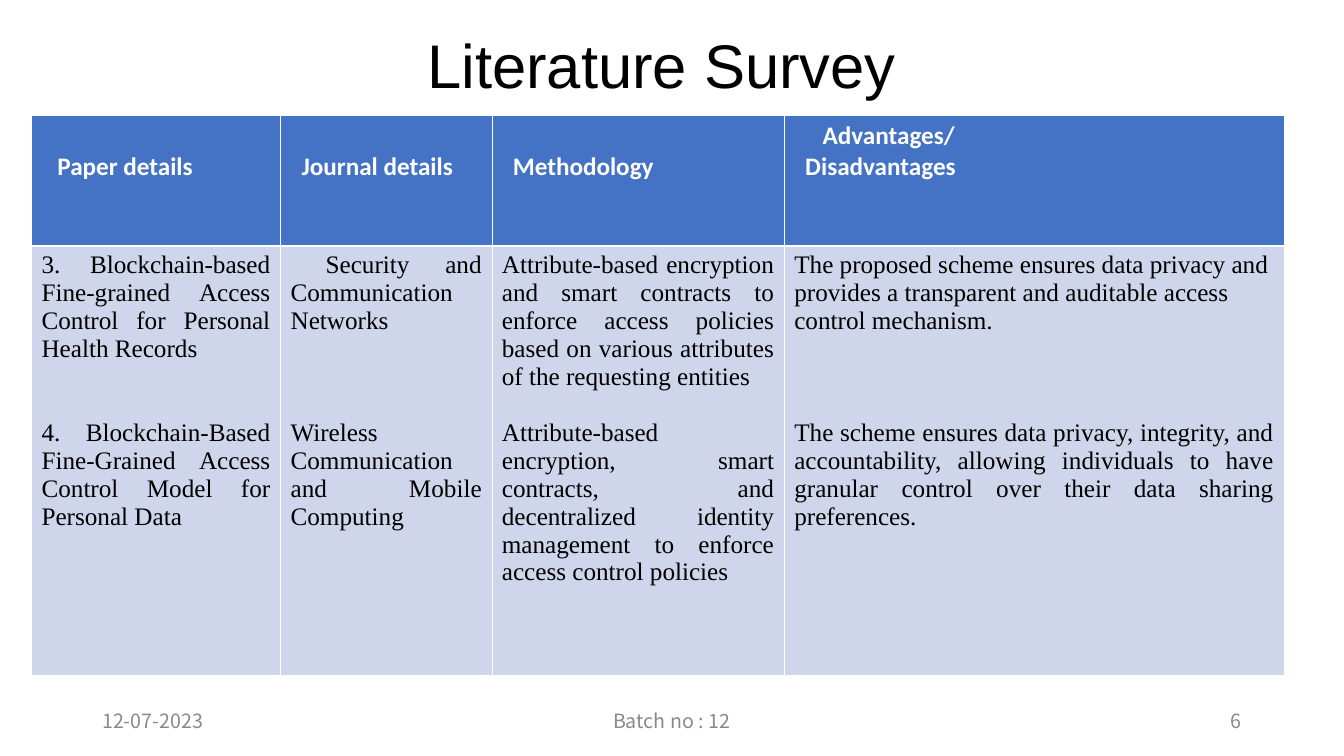
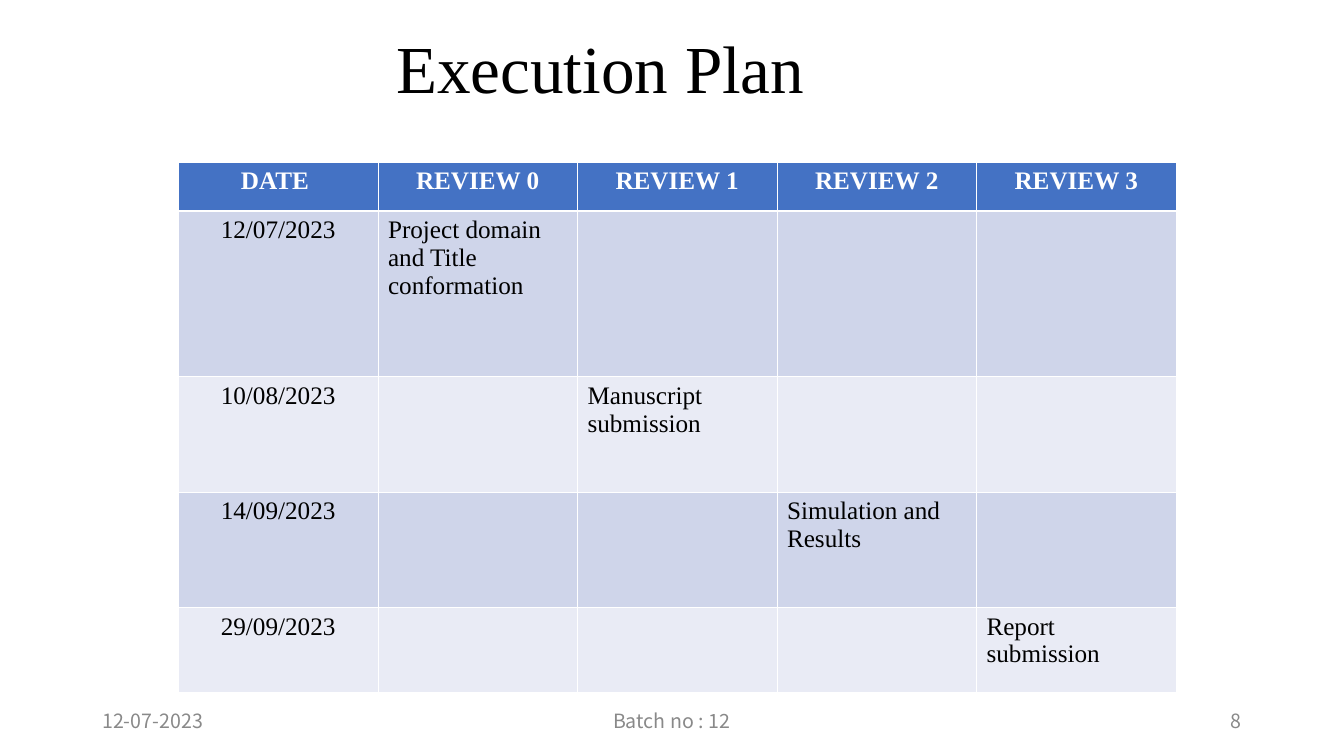
from lxml import etree
from pptx import Presentation
from pptx.dml.color import RGBColor
from pptx.enum import text
from pptx.oxml import ns
from pptx.util import Pt

BLACK = RGBColor(0x00, 0x00, 0x00)
WHITE = RGBColor(0xFF, 0xFF, 0xFF)
GREY = RGBColor(0x89, 0x89, 0x89)
HEADER_BLUE = RGBColor(0x44, 0x72, 0xC4)
BANDS = (RGBColor(0xE9, 0xEB, 0xF5), RGBColor(0xCF, 0xD5, 0xEA))
SERIF = "Times New Roman"
SANS = "Calibri"
LEFT, CENTER, RIGHT, JUSTIFY = (
    text.PP_ALIGN.LEFT, text.PP_ALIGN.CENTER, text.PP_ALIGN.RIGHT, text.PP_ALIGN.JUSTIFY)
THIN, THICK = 0.45, 1.47
LINE = 20  # height of one line of table text


def write(para, words, face=SERIF, size=18, color=BLACK, bold=False, align=LEFT, indent=0):
    """Fill a paragraph; indent applies to its first line."""
    para.text = words
    para.alignment = align
    if indent:
        para._p.get_or_add_pPr().set("indent", str(Pt(indent)))
    para.font.name = face
    para.font.size = Pt(size)
    para.font.color.rgb = color
    para.font.bold = bold


def add_banded_table(page, left, top, widths, heights):
    """Add a table with a blue header, banded rows and white borders."""
    frame = page.shapes.add_table(len(heights), len(widths), Pt(left), Pt(top),
                                  Pt(sum(widths)), Pt(sum(heights)))
    table = frame.table
    for column, width in zip(table.columns, widths):
        column.width = Pt(width)
    for number, height in enumerate(heights):
        row = table.rows[number]
        row.height = Pt(height)
        borders = {"lnL": THIN, "lnR": THIN,
                   "lnT": THICK if number == 1 else THIN,
                   "lnB": THICK if number == 0 else THIN}
        for cell in row.cells:
            props = cell._tc.get_or_add_tcPr()
            for side, weight in borders.items():
                line = etree.SubElement(props, ns.qn(f"a:{side}"), w=str(Pt(weight)))
                fill = etree.SubElement(line, ns.qn("a:solidFill"))
                etree.SubElement(fill, ns.qn("a:srgbClr"), val=str(WHITE))
            cell.fill.solid()
            cell.fill.fore_color.rgb = BANDS[number % 2] if number else HEADER_BLUE
    return table


deck = Presentation()
deck.slide_width, deck.slide_height = Pt(960.48), Pt(540)

# Titles and footers
pages = []
for heading, face, size, align, inset, number in (
        ("Literature Survey", "Arial", 44, CENTER, 7.2, "6"),
        ("Execution Plan", SERIF, 48, LEFT, 247.2, "8")):
    page = deck.slides.add_slide(deck.slide_layouts[5])
    pages.append(page)
    title = page.shapes.title
    title.left, title.top, title.width, title.height = Pt(36), Pt(21.6), Pt(874), Pt(65.5)
    frame = title.text_frame
    frame.auto_size = text.MSO_AUTO_SIZE.NONE
    frame.vertical_anchor = text.MSO_ANCHOR.TOP
    frame.margin_left = Pt(inset)
    write(frame.paragraphs[0], heading, face, size, align=align)
    frame.paragraphs[0].line_spacing = 0.9

    for words, left, width, side in (("12-07-2023", 66, 216, LEFT),
                                     ("Batch no : 12", 318, 324, CENTER),
                                     (number, 678, 216, RIGHT)):
        box = page.shapes.add_textbox(Pt(left), Pt(500.5), Pt(width), Pt(28.75))
        box.text_frame.word_wrap = True
        box.text_frame.vertical_anchor = text.MSO_ANCHOR.MIDDLE
        write(box.text_frame.paragraphs[0], words, "Noto Sans CJK KR", 14, GREY, align=side)

survey_page, plan_page = pages

# Literature survey
survey = add_banded_table(survey_page, 22.5, 82.4, (178, 151, 209, 357), (93.6, 306.7))
for cell, words, inset in zip(survey.rows[0].cells,
                              ("Paper details", "Journal details", "Methodology"),
                              (18.5, 15, 15)):
    cell.margin_left, cell.margin_top = Pt(inset), Pt(25.6)
    write(cell.text_frame.paragraphs[0], words, SANS, color=WHITE, bold=True)

verdict = survey.cell(0, 3)
verdict.margin_left = Pt(15)
write(verdict.text_frame.paragraphs[0], "Advantages/", SANS, color=WHITE, bold=True, indent=12.5)
write(verdict.text_frame.add_paragraph(), "Disadvantages", SANS, color=WHITE, bold=True)

# First paper, second paper, lines between them, alignment and indent of the first
findings = (
    ("3. Blockchain-based Fine-grained Access Control for Personal Health Records",
     "4. Blockchain-Based Fine-Grained Access Control Model for Personal Data",
     2, JUSTIFY, 0),
    ("Security and Communication Networks",
     "Wireless Communication and Mobile Computing",
     3, JUSTIFY, 25),
    ("Attribute-based encryption and smart contracts to enforce access policies "
     "based on various attributes of the requesting entities",
     "Attribute-based encryption, smart contracts, and decentralized identity "
     "management to enforce access control policies",
     1, JUSTIFY, 0),
    ("The proposed scheme ensures data privacy and provides a transparent and "
     "auditable access control mechanism.",
     "The scheme ensures data privacy, integrity, and accountability, allowing "
     "individuals to have granular control over their data sharing preferences.",
     3, LEFT, 0),
)
for cell, (first, second, gap, align, indent) in zip(survey.rows[1].cells, findings):
    write(cell.text_frame.paragraphs[0], first, align=align, indent=indent)
    para = cell.text_frame.add_paragraph()
    write(para, second, align=JUSTIFY)
    para.space_before = Pt(gap * LINE)

# Execution plan: review n takes place on the date in row n + 1
plan = add_banded_table(plan_page, 127.5, 116, [142.6] * 5, (34.5, 118.5, 82.5, 82.5, 60.5))
reviews = (("12/07/2023", "Project domain and Title conformation"),
           ("10/08/2023", "Manuscript submission"),
           ("14/09/2023", "Simulation and Results"),
           ("29/09/2023", "Report submission"))
headers = ["DATE "] + [f"REVIEW {number}" for number in range(len(reviews))]
for cell, words in zip(plan.rows[0].cells, headers):
    write(cell.text_frame.paragraphs[0], words, color=WHITE, bold=True, align=CENTER)
for number, (date, task) in enumerate(reviews, start=1):
    write(plan.cell(number, 0).text_frame.paragraphs[0], date, align=CENTER)
    write(plan.cell(number, number).text_frame.paragraphs[0], task)

deck.save("out.pptx")
